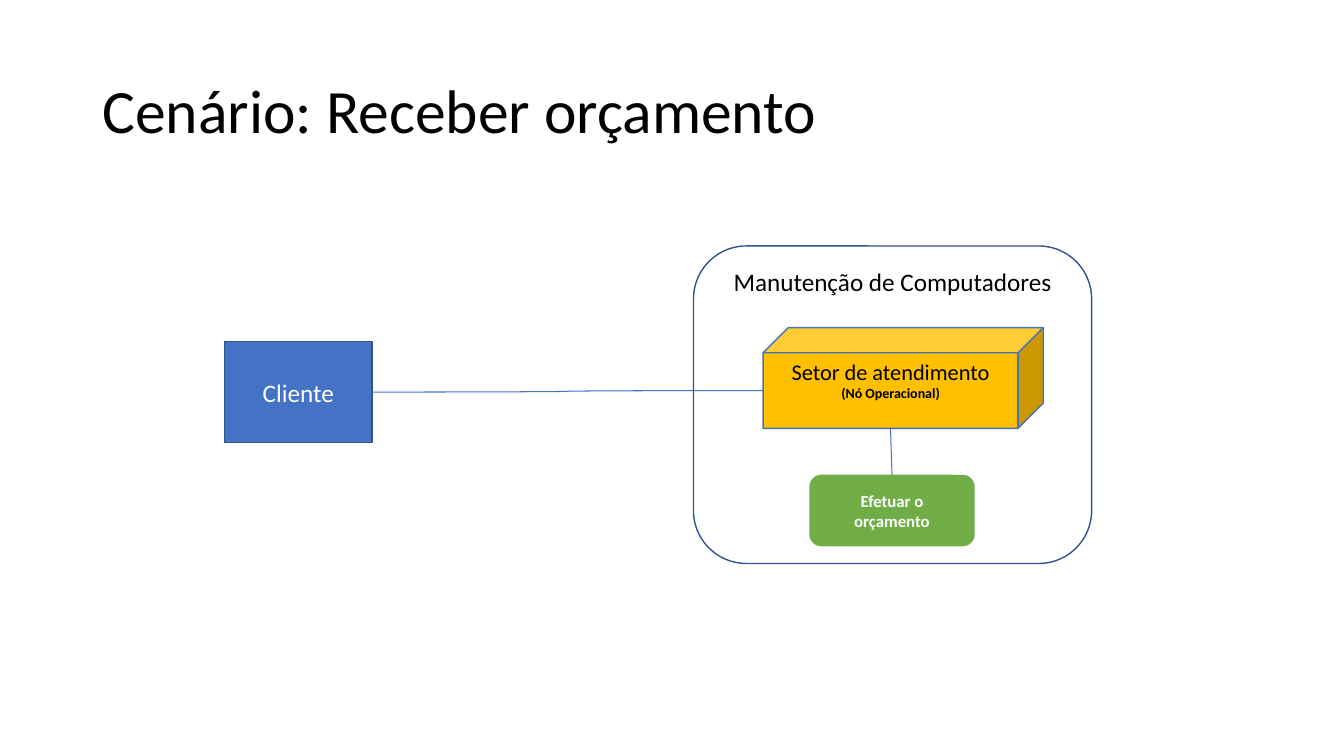
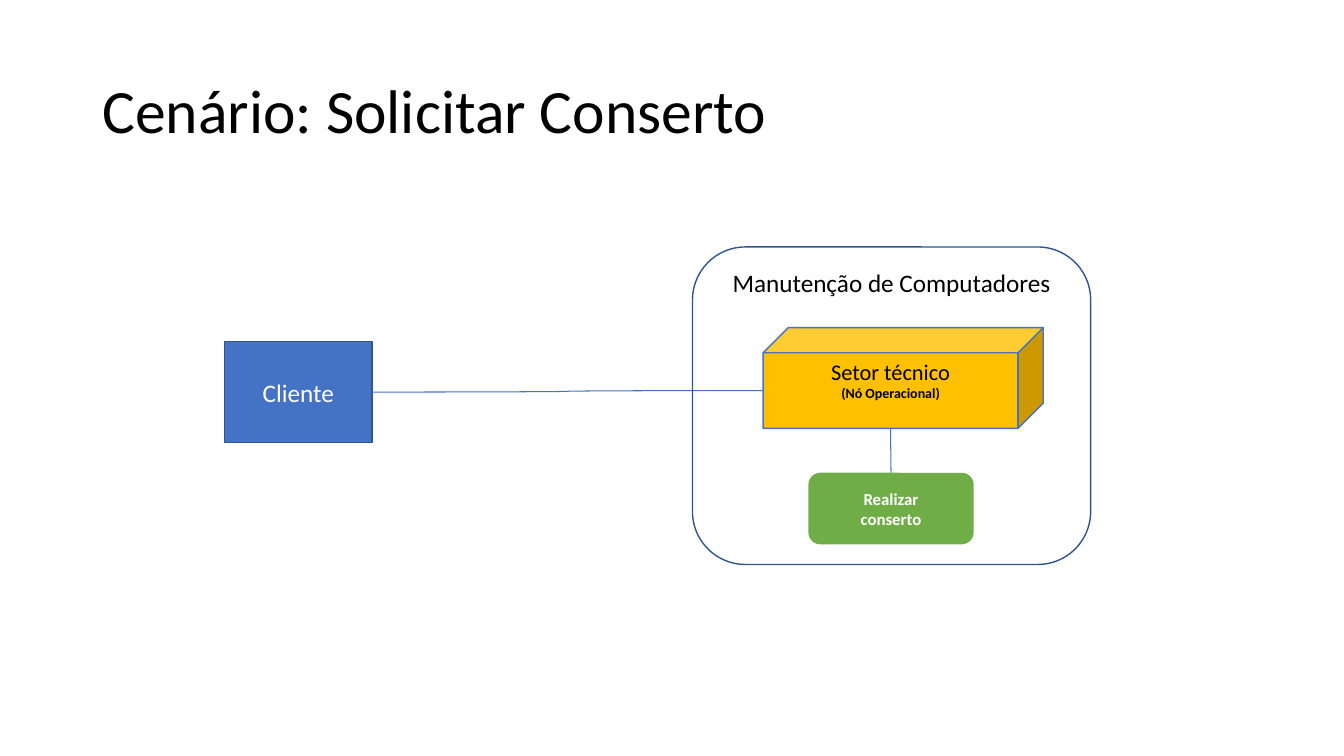
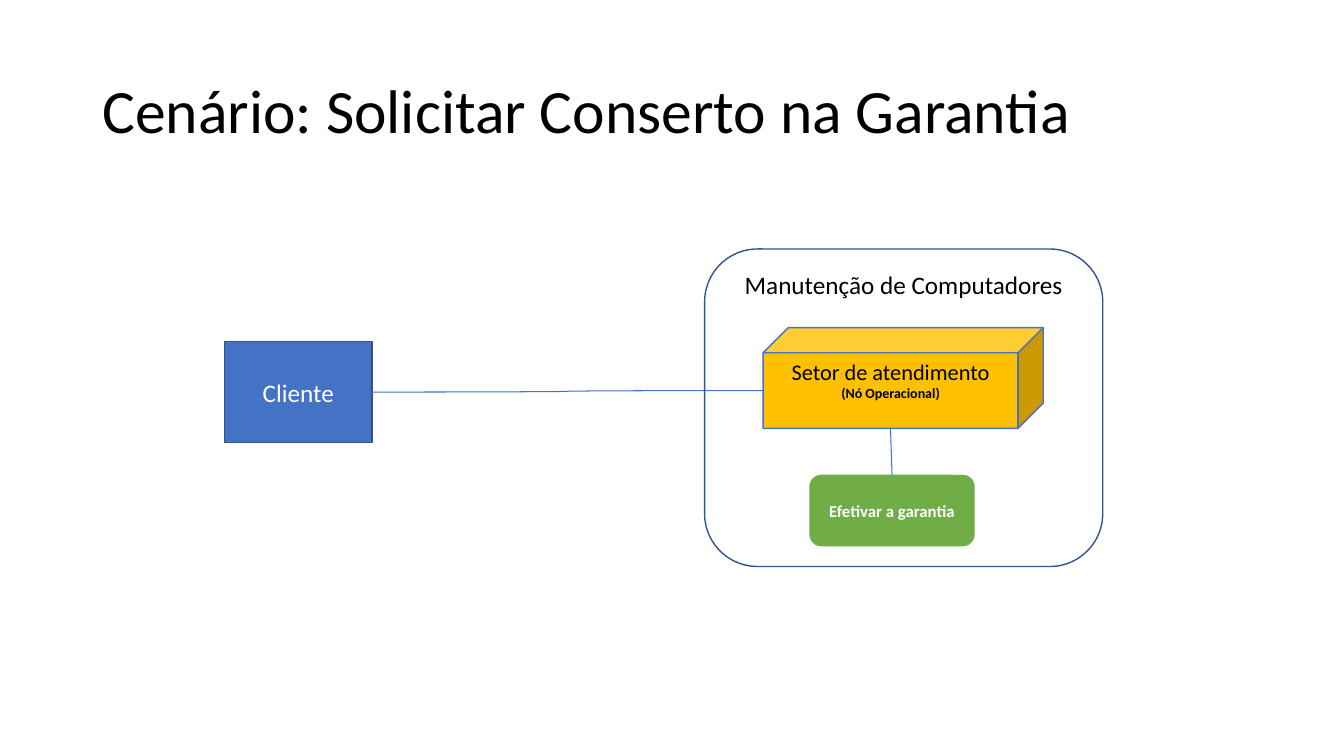
import pptx
import pptx.dml.color
import pptx.enum.shapes
import pptx.enum.text
import pptx.oxml.ns
import pptx.util
from lxml import etree

Pt = pptx.util.Pt
RGBColor = pptx.dml.color.RGBColor
Shape = pptx.enum.shapes.MSO_SHAPE
Connector = pptx.enum.shapes.MSO_CONNECTOR
Anchor = pptx.enum.text.MSO_ANCHOR
Align = pptx.enum.text.PP_ALIGN

BLUE = RGBColor(0x44, 0x72, 0xC4)
DARK_BLUE = RGBColor(0x31, 0x53, 0x8F)
GOLD = RGBColor(0xFF, 0xC0, 0x00)
GREEN = RGBColor(0x70, 0xAD, 0x47)
BLACK = RGBColor(0x00, 0x00, 0x00)
WHITE = RGBColor(0xFF, 0xFF, 0xFF)
FONT = "Calibri"

SCENARIOS = [
    {"title": "Cenário: Receber orçamento", "sector": "Setor de atendimento",
     "activity": ["Efetuar o orçamento"],
     "activity_at": (578.16, 339.12), "company_at": (495.36, 175.68)},
    {"title": "Cenário: Solicitar Conserto", "sector": "Setor técnico",
     "activity": ["Realizar", "conserto"],
     "activity_at": (577.44, 337.68), "company_at": (494.64, 176.4)},
    {"title": "Cenário: Solicitar Conserto na Garantia", "sector": "Setor de atendimento",
     "activity": ["Efetivar a garantia"],
     "activity_at": (578.16, 339.12), "company_at": (503.28, 177.84)},
]
CLIENT = "Cliente"
COMPANY = "Manutenção de Computadores"
NODE_KIND = "(Nó Operacional)"

TITLE_BOX = (66, 28.8, 828, 104.4)
CLIENT_BOX = (160.56, 244.08, 105.12, 72)
SECTOR_BOX = (545.04, 234, 200.16, 72)
ACTIVITY_SIZE = (118.08, 51.12)
COMPANY_SIZE = (284.4, 226.8)
CUBE_DEPTH = 0.25


def style(paragraph, size, color, bold=False):
    paragraph.font.name = FONT
    paragraph.font.size = Pt(size)
    paragraph.font.color.rgb = color
    paragraph.font.bold = bold


def add_title(slide, text):
    title = slide.shapes.title
    title.left, title.top, title.width, title.height = map(Pt, TITLE_BOX)
    frame = title.text_frame
    frame.text = text
    frame.auto_size = pptx.enum.text.MSO_AUTO_SIZE.NONE
    frame.vertical_anchor = Anchor.MIDDLE
    paragraph = frame.paragraphs[0]
    paragraph.alignment = Align.LEFT
    paragraph.line_spacing = 0.9
    style(paragraph, 44, BLACK)


def add_box(slide, kind, place, fill, line, lines, color, anchor=Anchor.MIDDLE):
    box = slide.shapes.add_shape(kind, *map(Pt, place))
    box.shadow.inherit = False
    if fill is None:
        box.fill.background()
    else:
        box.fill.solid()
        box.fill.fore_color.rgb = fill
    if line is None:
        box.line.fill.background()
    else:
        box.line.color.rgb = line
        box.line.width = Pt(1)
    frame = box.text_frame
    frame.word_wrap = True
    frame.vertical_anchor = anchor
    for index, (text, size, bold) in enumerate(lines):
        paragraph = frame.add_paragraph() if index else frame.paragraphs[0]
        paragraph.text = text
        paragraph.alignment = Align.CENTER
        style(paragraph, size, color, bold)
    return box


def add_link(slide, kind, start, end):
    link = slide.shapes.add_connector(kind, *map(Pt, start + end))
    link.line.color.rgb = BLUE
    link.line.width = Pt(0.75)
    properties = link._element.spPr
    etree.SubElement(properties, pptx.oxml.ns.qn("a:effectLst"))


def build_scenario(deck, scenario):
    slide = deck.slides.add_slide(deck.slide_layouts[5])
    add_title(slide, scenario["title"])

    sector = add_box(slide, Shape.CUBE, SECTOR_BOX, GOLD, BLUE,
                     [(scenario["sector"], 16, False), (NODE_KIND, 10, True)],
                     BLACK, Anchor.TOP)
    sector.adjustments[0] = CUBE_DEPTH
    add_box(slide, Shape.ROUNDED_RECTANGLE, scenario["activity_at"] + ACTIVITY_SIZE,
            GREEN, None, [(text, 12, True) for text in scenario["activity"]], WHITE)
    add_box(slide, Shape.RECTANGLE, CLIENT_BOX, BLUE, DARK_BLUE,
            [(CLIENT, 18, False)], WHITE)

    left, top, width, height = SECTOR_BOX
    depth = CUBE_DEPTH * height
    sector_left = (left, top + (height + depth) / 2)
    sector_bottom = (left + (width - depth) / 2, top + height)
    client_left, client_top, client_width, client_height = CLIENT_BOX
    client_right = (client_left + client_width, client_top + client_height / 2)
    activity_left, activity_top = scenario["activity_at"]
    activity_middle = (activity_left + ACTIVITY_SIZE[0] / 2, activity_top)

    add_link(slide, Connector.CURVE, client_right, sector_left)
    add_box(slide, Shape.ROUNDED_RECTANGLE, scenario["company_at"] + COMPANY_SIZE,
            None, DARK_BLUE, [(COMPANY, 18, False)], BLACK, Anchor.TOP)
    add_link(slide, Connector.STRAIGHT, sector_bottom, activity_middle)


def main():
    deck = pptx.Presentation()
    deck.slide_width, deck.slide_height = Pt(960), Pt(540)
    for scenario in SCENARIOS:
        build_scenario(deck, scenario)
    deck.save("out.pptx")


if __name__ == "__main__":
    main()
